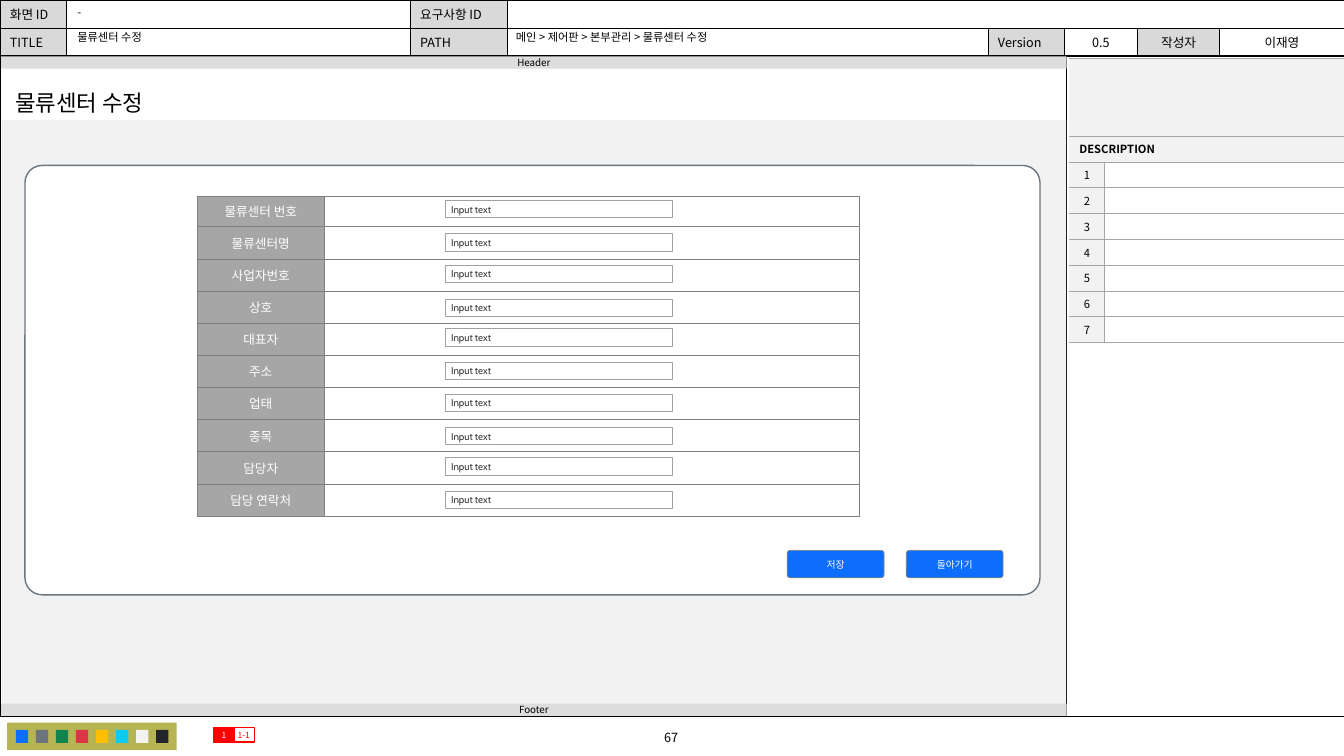
import pptx
import pptx.util
import pptx.dml.color
import pptx.enum.shapes
import pptx.enum.text
import pptx.oxml.ns
from lxml import etree

Cm = pptx.util.Cm
Pt = pptx.util.Pt
Shape = pptx.enum.shapes.MSO_SHAPE
Align = pptx.enum.text.PP_ALIGN
Middle = pptx.enum.text.MSO_ANCHOR.MIDDLE
qn = pptx.oxml.ns.qn

KOREAN = "Noto Sans CJK KR"
LATIN = "Cabin"
PLAIN_TABLE = "{2D5ABB26-0587-4C30-8999-92F81FD0307C}"
SWATCHES = ["0D6EFD", "6C757D", "10834E", "DC3545",
            "FFBE00", "0DCAF0", "F2F2F2", "212529"]
FIELDS = [("물류센터 번호", 5.05), ("물류센터명", 5.89), ("사업자번호", 6.68),
          ("상호", 7.54), ("대표자", 8.28), ("주소", 9.12), ("업태", 9.93),
          ("종목", 10.77), ("담당자", 11.53), ("담당 연락처", 12.37)]
HEADINGS = [["화면 ID", "", "요구사항 ID", "", "", "", "", ""],
            ["TITLE", "", "PATH", "", "Version", "0.5", "작성자", "이재영"]]


def rgb(value):
    return pptx.dml.color.RGBColor.from_string(value)


def paint(fill, color):
    if color:
        fill.solid()
        fill.fore_color.rgb = rgb(color)
    else:
        fill.background()


def write(para, text, size, color="000000", align=Align.LEFT, font=KOREAN, bold=False):
    para.text = text
    para.alignment = align
    para.font.size = Pt(size)
    para.font.bold = bold
    para.font.name = font
    para.font.color.rgb = rgb(color)
    etree.SubElement(para.font._rPr, qn("a:ea"), typeface=font)
    if not text:
        etree.SubElement(para._p, qn("a:endParaRPr"), sz=str(size * 100))


def set_margins(target, side, end):
    target.margin_left = target.margin_right = Cm(side)
    target.margin_top = target.margin_bottom = Cm(end)


def add_box(page, place, fill=None, line=None, width=0.5, kind=Shape.RECTANGLE, corner=None):
    box = page.shapes.add_shape(kind, *map(Cm, place))
    box.shadow.inherit = False
    if corner:
        box.adjustments[0] = corner
    paint(box.fill, fill)
    paint(box.line.fill, line)
    if line:
        box.line.width = Pt(width)
    return box


def label(box, text, size, color="000000", align=Align.CENTER, font=KOREAN, side=0):
    frame = box.text_frame
    frame.word_wrap = True
    frame.vertical_anchor = Middle
    set_margins(frame, side, 0)
    write(frame.paragraphs[0], text, size, color, align, font)


def add_text(page, place, text, size, align=Align.LEFT, wrap=True, spacing=None):
    box = page.shapes.add_textbox(*map(Cm, place))
    label(box, text, size, align=align, side=0.25)
    box.text_frame.word_wrap = wrap
    if spacing:
        box.text_frame.paragraphs[0].line_spacing = spacing


def add_line(page, start, end, color, width):
    line = page.shapes.add_connector(pptx.enum.shapes.MSO_CONNECTOR.STRAIGHT,
                                     *map(Cm, start + end))
    line.line.color.rgb = rgb(color)
    line.line.width = Pt(width)
    etree.SubElement(line._element.spPr, qn("a:effectLst"))


def add_table(page, left, top, columns, rows):
    place = map(Cm, (left, top, sum(columns), sum(rows)))
    table = page.shapes.add_table(len(rows), len(columns), *place).table
    table.first_row = table.horz_banding = False
    table._tbl.tblPr.find(qn("a:tableStyleId")).text = PLAIN_TABLE
    for column, width in zip(table.columns, columns):
        column.width = Cm(width)
    for row, height in zip(table.rows, rows):
        row.height = Cm(height)
    return table


def fill_cell(cell, text, size, fill, border, width, sides="LRTB", margins=(0, 0), **style):
    set_margins(cell, *margins)
    cell.vertical_anchor = Middle
    for side in sides:
        edge = etree.SubElement(cell._tc.get_or_add_tcPr(), qn("a:ln" + side),
                                w=str(Pt(width)))
        solid = etree.SubElement(edge, qn("a:solidFill"))
        etree.SubElement(solid, qn("a:srgbClr"), val=border)
    paint(cell.fill, fill)
    write(cell.text_frame.paragraphs[0], text, size, **style)


def add_heading_table(page):
    widths = [1.68, 8.66, 2.44, 12.12, 1.93, 1.83, 2.08, 3.13]
    table = add_table(page, 0, 0, widths, [0.71, 0.71])
    for row, texts in enumerate(HEADINGS):
        for column, text in enumerate(texts):
            shaded = text and column % 2 == 0
            fill_cell(table.cell(row, column), text, 9, "D9D9D9" if shaded else "FFFFFF",
                      "000000", 0.5, margins=(0.25, 0.12),
                      align=Align.CENTER if column > 4 else Align.LEFT)
    table.cell(0, 3).merge(table.cell(0, 7))


def add_description_table(page):
    table = add_table(page, 26.95, 1.47, [0.89, 6.02], [1.96] + [0.65] * 8)
    for row, text in enumerate(["", "DESCRIPTION"]):
        for column, words in enumerate([text, ""]):
            fill_cell(table.cell(row, column), words, 8, "F2F2F2", "A6A6A6", 0.5, "TB",
                      (0.25, 0.1), bold=True)
        table.cell(row, 0).merge(table.cell(row, 1))
    for number in range(1, 8):
        fill_cell(table.cell(number + 1, 0), str(number), 8, "F2F2F2",
                  "A6A6A6", 0.5, "RTB", align=Align.CENTER)
        fill_cell(table.cell(number + 1, 1), "", 8, None, "A6A6A6", 0.5, "LTB")


def add_form(page):
    table = add_table(page, 4.97, 4.94, [3.2, 13.49], [0.77] + [0.81] * 9)
    for row, (name, top) in enumerate(FIELDS):
        fill_cell(table.cell(row, 0), name, 9, "A6A6A6", "808080", 0.25,
                  margins=(0.13, 0.08), color="FFFFFF", align=Align.CENTER)
        fill_cell(table.cell(row, 1), "", 9, "FFFFFF", "808080", 0.25)
        field = add_box(page, (11.22, top, 5.72, 0.44), "FFFFFF", "A0A0A0")
        label(field, "Input text", 7, "333333", Align.LEFT, LATIN, 0.15)


def add_frame(page):
    add_box(page, (0, 1.4, 33.87, 16.66), line="000000", width=0.25)
    add_text(page, (13.64, 18.26, 6.55, 0.64), "67", 9, Align.CENTER)
    add_line(page, (26.87, 1.42), (26.87, 18.06), "000000", 0.5)
    add_box(page, (0.18, 18.21, 4.27, 0.69), "B7B553")
    for index, color in enumerate(SWATCHES):
        add_box(page, (0.4 + 0.505 * index, 18.39, 0.31, 0.33), color)
    add_box(page, (0.05, 3.02, 26.82, 15.01), "F2F2F2")
    for text, top in [("Footer", 17.73), ("Header", 1.42)]:
        label(add_box(page, (0.03, top, 26.85, 0.31), "DDDDDD"), text, 7)


def main():
    deck = pptx.Presentation()
    deck.slide_width, deck.slide_height = Cm(33.87), Cm(19.05)
    page = deck.slides.add_slide(deck.slide_layouts[6])
    add_heading_table(page)
    add_frame(page)
    add_box(page, (0.63, 4.17, 25.58, 10.82), "FFFFFF", "6C757D", 1,
            Shape.ROUNDED_RECTANGLE, 0.04)
    add_description_table(page)
    add_text(page, (12.75, 0.66, 12.04, 0.58), "메인 > 제어판 > 본부관리 > 물류센터 수정",
             8, spacing=0.9)
    add_text(page, (1.7, 0.03, 8.64, 0.58), "-", 8, spacing=0.9)
    add_text(page, (1.7, 0.71, 8.59, 0.51), "물류센터 수정", 8, spacing=0.9)
    for text, left, fill, color in [("1-1", 5.88, None, "FF0000"),
                                    ("1", 5.38, "FF0000", "FFFFFF")]:
        marker = add_box(page, (left, 18.34, 0.53, 0.36), fill, "FF0000", 1)
        label(marker, text, 6, color)
    add_text(page, (0.13, 2.11, 4.11, 0.94), "물류센터 수정", 16, wrap=False)
    add_form(page)
    for text, left in [("저장", 19.84), ("돌아가기", 22.84)]:
        button = add_box(page, (left, 13.87, 2.44, 0.69), "0D6EFD", "808080",
                         kind=Shape.ROUNDED_RECTANGLE, corner=0.11)
        label(button, text, 7, "FFFFFF", font=LATIN, side=0.28)
    deck.save("out.pptx")


if __name__ == "__main__":
    main()
